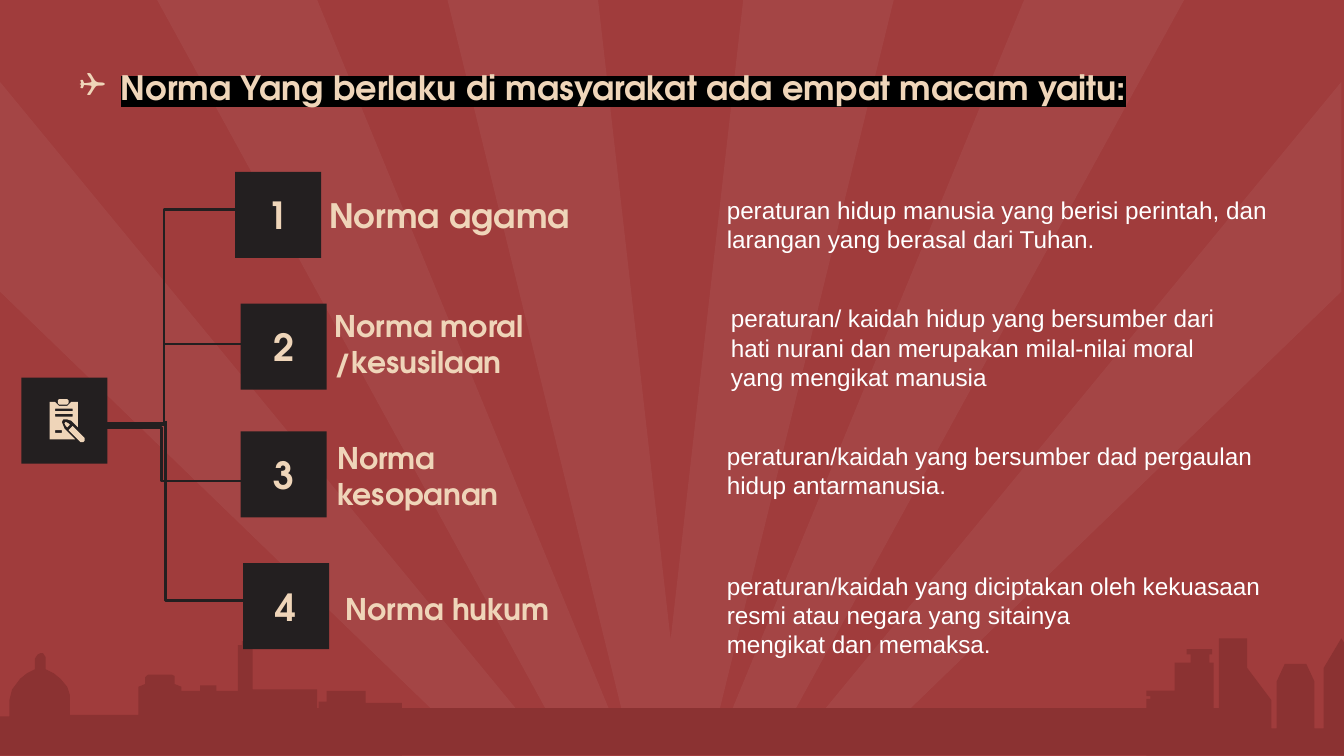
from dataclasses import dataclass

from lxml.etree import SubElement
from pptx import Presentation
from pptx.dml.color import RGBColor
from pptx.enum.shapes import MSO_CONNECTOR, MSO_SHAPE
from pptx.enum.text import MSO_ANCHOR, MSO_AUTO_SIZE, PP_ALIGN
from pptx.oxml.ns import qn
from pptx.util import Pt

PX = 9144
WIDE = 1000 * PX
HARD = chr(160)


@dataclass(frozen=True)
class Theme:
    """Colours, fonts and type sizes of the slide."""
    red: str = "A03C3C"
    city: str = "8B3232"
    ray: str = "FFFFFF"
    dark: str = "231F20"
    mark: str = "000000"
    cream: str = "EFD5B9"
    white: str = "FFFFFF"
    head: str = "TeX Gyre Adventor"
    body: str = "Arial"
    sign: str = "Wingdings"
    title: int = 18
    digit: int = 20
    large: int = 18
    label: int = 16
    note: int = 13


T = Theme()
FRAME = dict.fromkeys(
    ("margin_left", "margin_top", "margin_right", "margin_bottom"), 10 * PX)
FRAME |= {"word_wrap": True, "auto_size": MSO_AUTO_SIZE.NONE}

ROWS = [
    ((175, 128), ["Norma agama"], T.large, (60, 2, 202, 60),
     "peraturan hidup manusia yang berisi perintah, dan larangan yang berasal dari Tuhan.",
     (356, 7, 434, 60)),
    ((179, 226), ["Norma moral", "/kesusilaan"], T.label, (60, -3, 312, 65),
     "peraturan/ kaidah hidup yang bersumber dari hati nurani dan merupakan milal-nilai moral yang mengikat manusia",
     (355, -10, 406, 60)),
    ((179, 321), ["Norma kesopanan"], T.label, (62, 3, 202, 60),
     "peraturan/kaidah yang bersumber dad pergaulan hidup antarmanusia.",
     (352, -3, 434, 60)),
    ((181, 419), [" Norma hukum"], T.label, (60, 4, 202, 60),
     "peraturan/kaidah yang diciptakan oleh kekuasaan resmi atau negara yang sitainya "
     + HARD.join(["mengikat", "dan", "memaksa."]),
     (350, -4, 434, 60)),
]


def put(item, vals):
    """Set each attribute in vals on the item."""
    for key, val in vals.items():
        setattr(item, key, val)


def paint(shape, tone):
    """Give a shape a flat fill with no line or shadow."""
    shape.shadow.inherit = False
    shape.fill.solid()
    shape.fill.fore_color.rgb = RGBColor.from_string(tone)
    shape.line.fill.background()
    return shape


def write(frame, lines, size, face, tone, bold=True, align=None,
          anchor=MSO_ANCHOR.MIDDLE):
    """Write lines as styled paragraphs in a text frame."""
    put(frame, FRAME | {"vertical_anchor": anchor})
    frame.text = "\n".join(lines)
    for para in frame.paragraphs:
        para.alignment = align
        for run in para.runs:
            put(run.font, {"size": Pt(size), "name": face, "bold": bold})
            run.font.color.rgb = RGBColor.from_string(tone)


def trace(slide, box, tone, *loops):
    """Draw closed outlines relative to the corner of a box."""
    pen = slide.shapes.build_freeform(*loops[0][0], scale=PX)
    pen.add_line_segments(loops[0][1:])
    for loop in loops[1:]:
        pen.move_to(*loop[0])
        pen.add_line_segments(loop[1:])
    return paint(pen.convert_to_shape(box[0] * PX, box[1] * PX), tone)


def block(x, y, w, h):
    """Return the corners of a rectangle."""
    return [(x, y), (x + w, y), (x + w, y + h), (x, y + h)]


def place(box, dx, dy, w, h):
    """Return EMU lengths for a part offset from a box."""
    return [n * PX for n in (box[0] + dx, box[1] + dy, w, h)]


def rays(slide, box):
    """Draw the faint sunburst, mirrored about the middle."""
    half = [(445, 0), (333, 0), (466, 542), (459, 542), (236, 0), (117, 0),
            (414, 542), (396, 542), (0, 61), (0, 217), (336, 542)]
    twin = [(998 - x, y) for x, y in reversed(half)]
    shape = trace(slide, box, T.ray, half + twin + [(499, 476)])
    tint = shape.fill._xPr.find(".//" + qn("a:srgbClr"))
    SubElement(tint, qn("a:alpha"), val="5000")


def city(slide, box):
    """Draw the skyline and the ground along the bottom."""
    west = [
        (0, 57), (7, 57), (7, 45), (9, 37), (15, 29), (20, 25),
        (26, 22), (26, 14), (28, 11), (30, 10), (32, 10), (34, 13), (34, 22),
        (40, 25), (45, 29), (50, 35), (52, 41), (52, 56), (103, 56),
        (103, 35), (108, 33), (108, 28), (110, 26), (128, 26), (130, 27),
        (130, 33), (135, 35), (135, 38), (149, 38), (149, 34), (161, 34),
        (161, 38), (177, 38), (177, 4), (180, 4), (180, 1), (185, 1),
        (185, 3), (188, 3), (188, 37), (236, 37), (236, 63), (237, 63),
        (237, 46), (243, 46), (243, 38), (272, 38), (272, 47), (299, 47),
        (299, 86), (0, 86)]
    east = [
        (853, 86), (853, 44), (856, 44), (856, 42), (853, 42), (853, 38),
        (874, 38), (874, 17), (886, 17), (886, 11), (883, 11), (883, 7),
        (902, 7), (902, 11), (900, 11), (900, 17), (903, 17), (903, 66),
        (907, 66), (907, -1), (928, -1), (928, 21), (946, 45), (946, 66),
        (950, 66), (950, 31), (956, 18), (972, 18), (978, 31), (978, 66),
        (985, 66), (985, 21), (998, -1), (1000, 2), (1000, 86)]
    for side in (east, west, block(113, 51, 817, 35)):
        trace(slide, box, T.city, side)


def head(slide, box):
    """Fill the title placeholder with a marked, bulleted line."""
    title = slide.shapes.title
    slide.shapes._spTree.append(title._element)
    put(title, dict(zip(("left", "top", "width", "height"),
                        place(box, 0, 0, *box[2:]))))
    write(title.text_frame,
          ["Norma Yang berlaku di masyarakat ada empat macam yaitu:"],
          T.title, T.head, T.cream, align=PP_ALIGN.CENTER,
          anchor=MSO_ANCHOR.TOP)
    para = title.text_frame.paragraphs[0]
    props = para._p.get_or_add_pPr()
    props.set("marL", str(31 * PX))
    props.set("indent", str(-31 * PX))
    tint = SubElement(props, qn("a:buClr"))
    SubElement(tint, qn("a:srgbClr"), val=T.cream)
    SubElement(props, qn("a:buFont"), typeface=T.sign)
    SubElement(props, qn("a:buChar"), char="❑")
    font = para.runs[0]._r.rPr
    glow = SubElement(font, qn("a:highlight"))
    SubElement(glow, qn("a:srgbClr"), val=T.mark)
    font.find(qn("a:solidFill")).addnext(glow)


def wires(slide, box):
    """Draw elbow lines from the hub to each numbered plate."""
    for x, y, far, end, bend in [
            (2, 160, 126, 100, 50000), (65, 157, 125, 291, 0),
            (2, 159, 126, 0, 50000), (0, 162, 124, 202, 50000)]:
        wire = slide.shapes.add_connector(
            MSO_CONNECTOR.ELBOW, *place(box, x, y, 0, 0)[:2],
            *place(box, far, end, 0, 0)[:2])
        wire.line.width = Pt(1.5)
        wire.line.color.rgb = RGBColor.from_string(T.dark)
        props = wire._element.spPr
        SubElement(props, qn("a:effectLst"))
        SubElement(props.find(".//" + qn("a:avLst")), qn("a:gd"),
                   name="adj1", fmla=f"val {bend}")


def plate(slide, box):
    """Draw a dark square."""
    shape = slide.shapes.add_shape(MSO_SHAPE.ROUNDED_RECTANGLE,
                                   *place(box, 0, 0, 64, 64))
    shape.adjustments[0] = 0
    return paint(shape, T.dark)


def hub(slide, box):
    """Draw the square with a clipboard and pencil."""
    plate(slide, box)
    clip = [(28, 16), (34, 16), (35, 17), (35, 19), (34, 20), (28, 20),
            (27, 19), (27, 17)]
    sheet = [(21, 18), (25, 18), (28, 21), (34, 21), (37, 18), (42, 18),
             (42, 37), (37, 32), (34, 31), (31, 31), (30, 33), (32, 38),
             (40, 46), (21, 46)]
    bars = [block(25, 23, 13, 2), block(25, 27, 13, 2), block(25, 39, 5, 2)]
    stem = [(38, 36), (35, 39), (44, 48), (46, 48), (47, 47), (47, 45)]
    nib = [(33, 33), (32, 34), (33, 36), (34, 37), (36, 35), (35, 34)]
    for loops in ([clip], [sheet, *bars], [stem], [nib]):
        trace(slide, box, T.cream, *loops)


def norm(slide, box, digit, name, size, spot, note, area):
    """Place one numbered norm with its name and meaning."""
    label = slide.shapes.add_textbox(*place(box, *spot))
    write(label.text_frame, name, size, T.head, T.cream)
    text = slide.shapes.add_textbox(*place(box, *area))
    write(text.text_frame, [note], T.note, T.body, T.white, bold=False,
          anchor=MSO_ANCHOR.TOP)
    write(plate(slide, box).text_frame, [str(digit)], T.digit, T.head,
          T.cream, align=PP_ALIGN.CENTER)


def main():
    """Build and save the slide."""
    deck = Presentation()
    put(deck, {"slide_width": WIDE, "slide_height": WIDE * 9 // 16})
    slide = deck.slides.add_slide(deck.slide_layouts[5])
    back = slide.background.fill
    back.solid()
    back.fore_color.rgb = RGBColor.from_string(T.red)
    rays(slide, (0, 0))
    city(slide, (0, 476))
    head(slide, (0, 40, 897, 60))
    wires(slide, (58, 156))
    for digit, (box, *parts) in enumerate(ROWS, 1):
        norm(slide, box, digit, *parts)
    hub(slide, (16, 281))
    deck.save("out.pptx")


if __name__ == "__main__":
    main()
